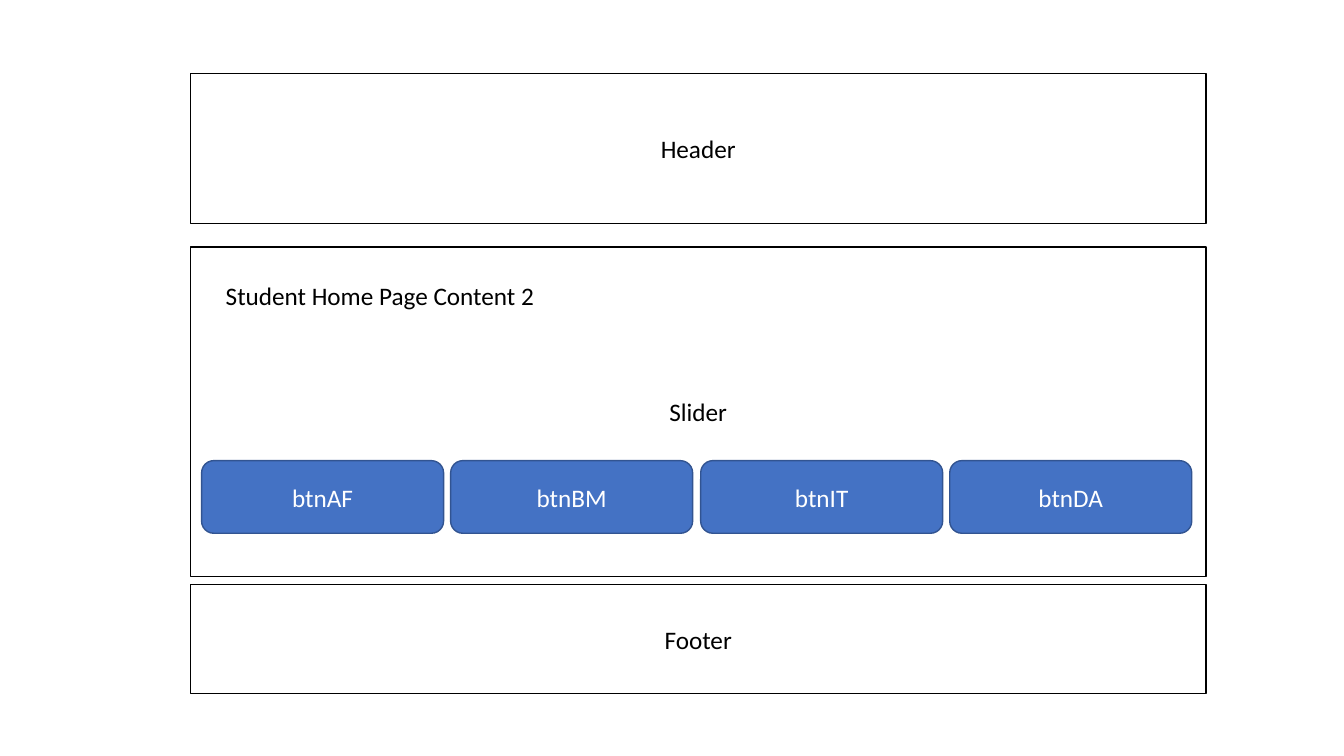
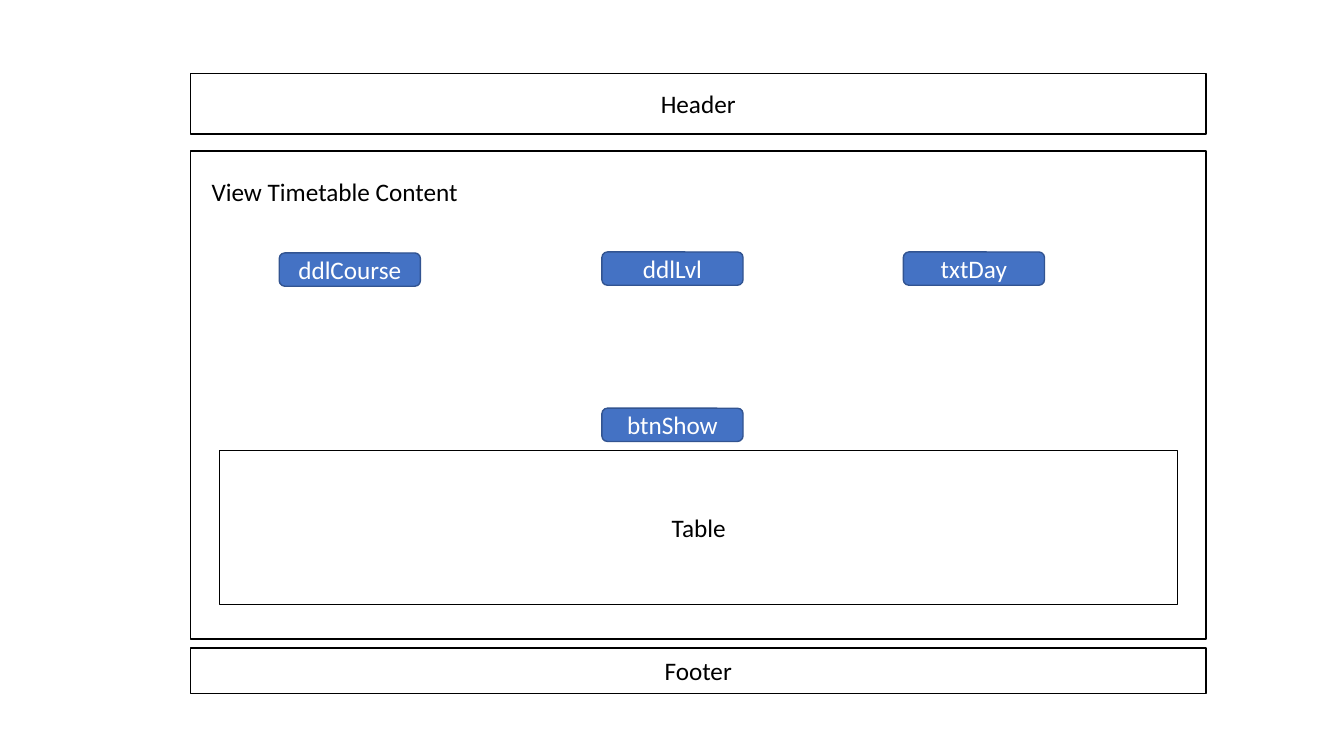
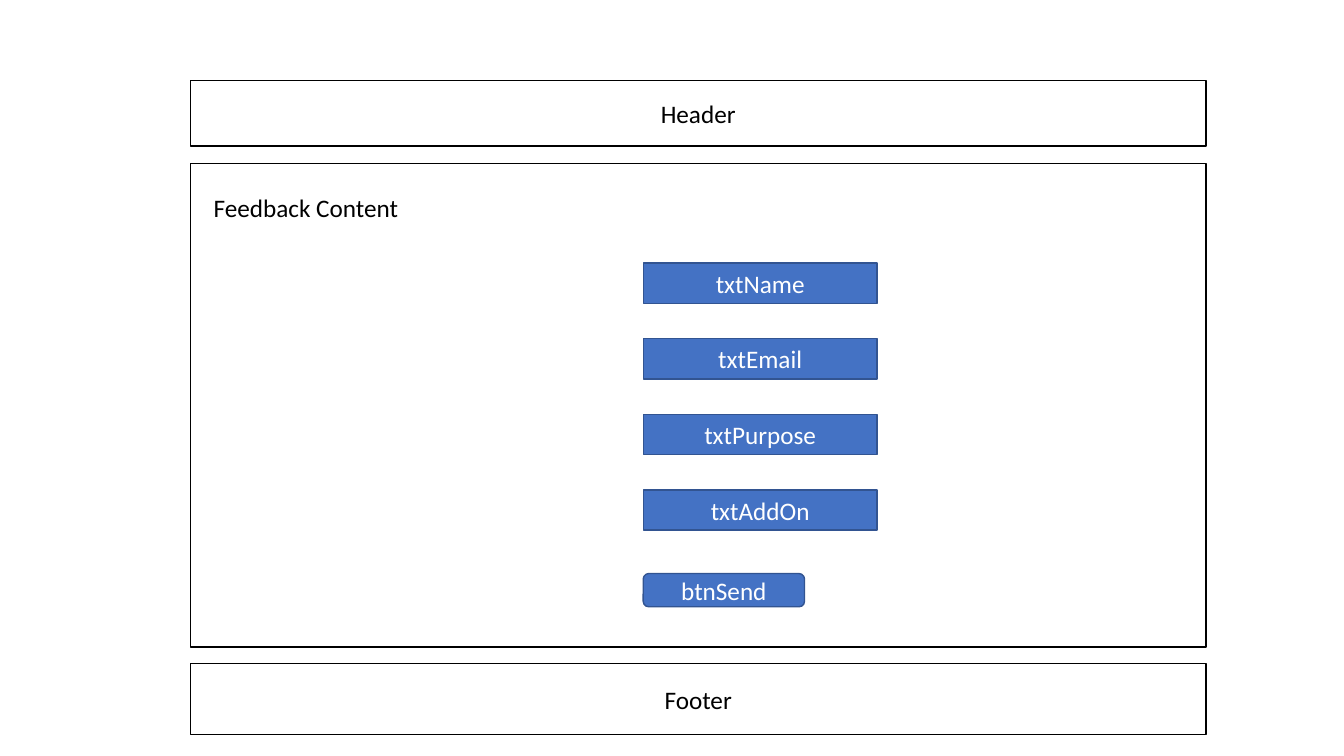
from dataclasses import dataclass

from pptx import Presentation
from pptx import util as u
from pptx.dml.color import RGBColor
from pptx.enum import shapes, text

EMU_PER_PX = 9144  # 100 px to the inch

BLACK, WHITE = "000000", "FFFFFF"
BLUE, DARK_BLUE = "4472C4", "325491"
FONT_NAME, FONT_SIZE = "Calibri", 18

RECTANGLE = shapes.MSO_SHAPE.RECTANGLE
ROUNDED = shapes.MSO_SHAPE.ROUNDED_RECTANGLE

FRAME_LEFT, FRAME_WIDTH = 189, 1007
TITLE_HEIGHT = 40


@dataclass(frozen=True)
class Style:
    fill: str
    line: str
    font: str


PANEL = Style(WHITE, BLACK, BLACK)
CONTROL = Style(BLUE, DARK_BLUE, WHITE)


@dataclass(frozen=True)
class Box:
    label: str
    left: int
    top: int
    width: int
    height: int
    style: Style = CONTROL
    geometry: shapes.MSO_SHAPE = ROUNDED


@dataclass(frozen=True)
class Band:
    label: str
    top: int
    height: int


@dataclass(frozen=True)
class Title:
    label: str
    left: int
    top: int
    width: int


@dataclass(frozen=True)
class Page:
    bands: list[Band]
    title: Title
    boxes: list[Box]


def px(length: int) -> u.Emu:
    return u.Emu(length * EMU_PER_PX)


def colour(value: str) -> RGBColor:
    return RGBColor.from_string(value)


def write(paragraph, label: str, font_colour: str) -> None:
    run = paragraph.add_run()
    run.text = label
    run.font.name = FONT_NAME
    run.font.size = u.Pt(FONT_SIZE)
    run.font.color.rgb = colour(font_colour)


def draw_box(slide, box: Box) -> None:
    shape = slide.shapes.add_shape(
        box.geometry, px(box.left), px(box.top), px(box.width), px(box.height))
    shape.shadow.inherit = False
    shape.fill.solid()
    shape.fill.fore_color.rgb = colour(box.style.fill)
    shape.line.color.rgb = colour(box.style.line)
    shape.line.width = u.Pt(1)
    if box.label:
        shape.text_frame.vertical_anchor = text.MSO_ANCHOR.MIDDLE
        paragraph = shape.text_frame.paragraphs[0]
        paragraph.alignment = text.PP_ALIGN.CENTER
        write(paragraph, box.label, box.style.font)


def draw_band(slide, band: Band) -> None:
    draw_box(slide, Box(band.label, FRAME_LEFT, band.top, FRAME_WIDTH,
                        band.height, PANEL, RECTANGLE))


def draw_title(slide, title: Title) -> None:
    shape = slide.shapes.add_textbox(
        px(title.left), px(title.top), px(title.width), px(TITLE_HEIGHT))
    shape.text_frame.word_wrap = True
    shape.text_frame.auto_size = text.MSO_AUTO_SIZE.SHAPE_TO_FIT_TEXT
    write(shape.text_frame.paragraphs[0], title.label, BLACK)


def draw_page(presentation, page: Page) -> None:
    slide = presentation.slides.add_slide(presentation.slide_layouts[6])
    for band in page.bands:
        draw_band(slide, band)
    draw_title(slide, page.title)
    for box in page.boxes:
        draw_box(slide, box)


# Student home page: a row of four evenly spaced buttons
home_page = Page(
    [Band("Header", 73, 149), Band("Slider", 245, 327), Band("Footer", 580, 108)],
    Title("Student Home Page Content 2", 214, 273, 339),
    [Box(label, round(200 + index * 742 / 3), 457, 240, 72)
     for index, label in enumerate(["btnAF", "btnBM", "btnIT", "btnDA"])],
)

# Timetable page: filters, a show button and the result table
timetable_page = Page(
    [Band("Header", 73, 60), Band("", 150, 484), Band("Footer", 643, 45)],
    Title("View Timetable Content", 200, 170, 383),
    [Box(label, left, top, 140, 33)
     for label, left, top in [("ddlCourse", 277, 251), ("ddlLvl", 597, 250),
                              ("txtDay", 896, 250), ("btnShow", 597, 405)]]
    + [Box("Table", 218, 447, 950, 153, PANEL, RECTANGLE)],
)

# Feedback page: a column of text fields above the send button
feedback_page = Page(
    [Band("Header", 80, 65), Band("", 162, 480), Band("Footer", 658, 71)],
    Title("Feedback Content", 202, 186, 339),
    [Box(label, 638, 261 + index * 75, 232, 40, geometry=RECTANGLE)
     for index, label in enumerate(
         ["txtName", "txtEmail", "txtPurpose", "txtAddOn"])]
    + [Box("btnSend", 638, 569, 160, 33)],
)


def main() -> None:
    presentation = Presentation()
    presentation.slide_width = px(1333)
    presentation.slide_height = px(750)
    for page in (home_page, timetable_page, feedback_page):
        draw_page(presentation, page)
    presentation.save("out.pptx")


if __name__ == "__main__":
    main()
